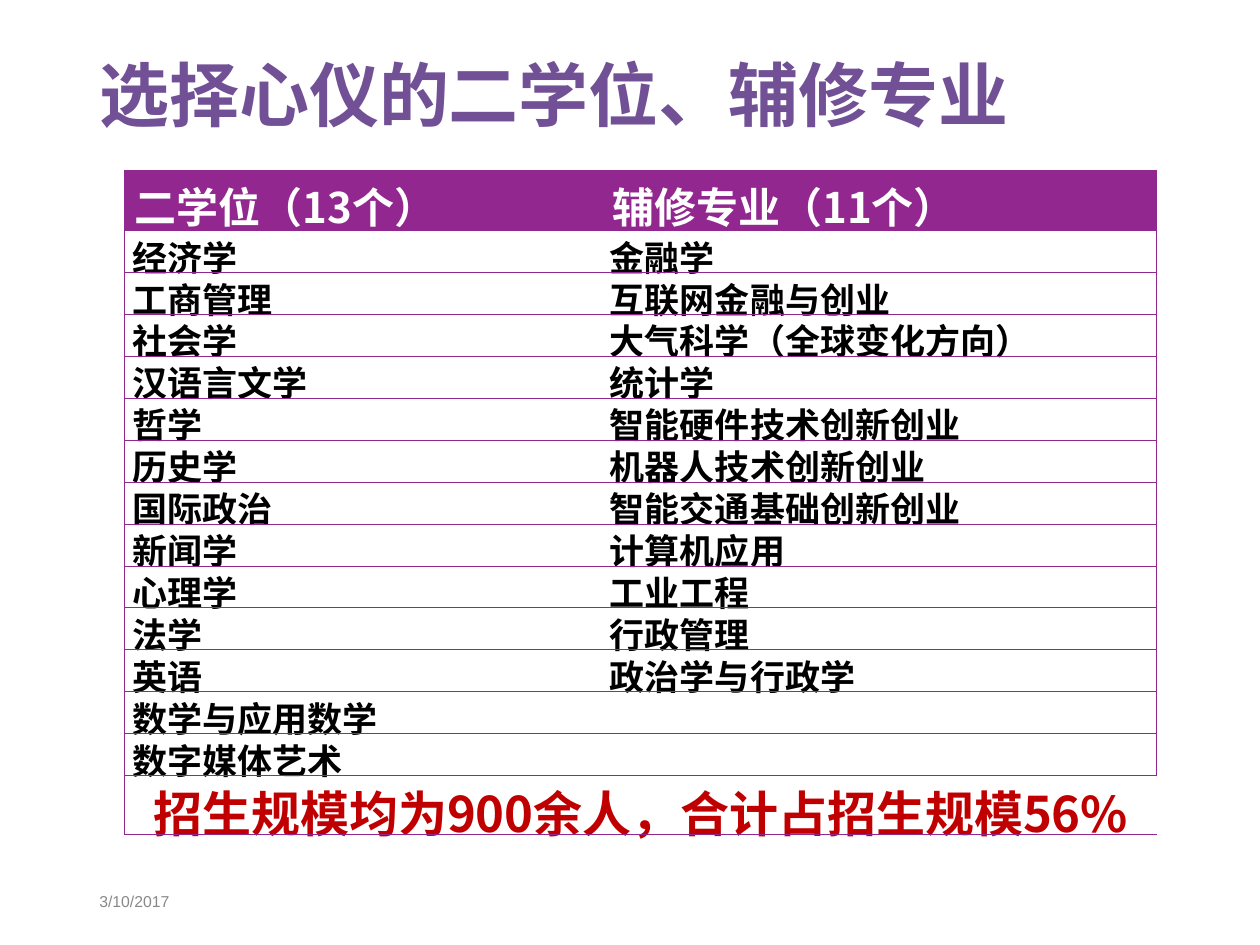
from dataclasses import dataclass
from itertools import zip_longest

from lxml import etree
from pptx import Presentation
from pptx.dml.color import RGBColor
from pptx.enum import text
from pptx.oxml import ns
from pptx.util import Inches, Pt

PURPLE = RGBColor(0x92, 0x27, 0x8F)
TITLE_PURPLE = RGBColor(0x71, 0x50, 0x96)
RED = RGBColor(0xC0, 0x00, 0x00)
GRAY = RGBColor(0x89, 0x89, 0x89)
BLACK = RGBColor(0x00, 0x00, 0x00)
WHITE = RGBColor(0xFF, 0xFF, 0xFF)
CJK = "Noto Sans CJK SC"

DEGREES = ["经济学", "工商管理", "社会学", "汉语言文学", "哲学", "历史学", "国际政治",
           "新闻学", "心理学", "法学", "英语", "数学与应用数学", "数字媒体艺术"]
MINORS = ["金融学", "互联网金融与创业", "大气科学（全球变化方向）", "统计学",
          "智能硬件技术创新创业", "机器人技术创新创业", "智能交通基础创新创业",
          "计算机应用", "工业工程", "行政管理", "政治学与行政学"]


@dataclass
class RowStyle:
    size: int
    color: RGBColor
    height: float
    side: float = 0.06
    pad: float = 0


HEADER = RowStyle(24, WHITE, 0.48, side=0.08, pad=0.04)
BODY = RowStyle(20, BLACK, 0.333)
SUMMARY = RowStyle(28, RED, 0.47)


def write(p, words: str, size: int, color: RGBColor, name: str = CJK, bold: bool = True) -> None:
    r = p.add_run()
    r.text = words
    for key, value in {"size": Pt(size), "bold": bold, "name": name}.items():
        setattr(r.font, key, value)
    r.font.color.rgb = color
    etree.SubElement(r.font._element, ns.qn("a:ea"), typeface=name)


def add_text(s, box: tuple[float, ...], words: str, size: int, color: RGBColor,
             spacing: float = 1.0, **font) -> None:
    tf = s.shapes.add_textbox(*map(Inches, box)).text_frame
    tf.word_wrap = True
    tf.vertical_anchor = text.MSO_ANCHOR.MIDDLE
    tf.paragraphs[0].line_spacing = spacing
    write(tf.paragraphs[0], words, size, color, **font)


def set_borders(cell, sides: str) -> None:
    """Draw the listed sides (L, R, T, B) and clear the others."""
    tc_pr = cell._tc.get_or_add_tcPr()
    for i, side in enumerate("LRTB"):
        ln = etree.Element(ns.qn(f"a:ln{side}"), w=str(Pt(0.5)))
        if side in sides:
            fill = etree.SubElement(ln, ns.qn("a:solidFill"))
            etree.SubElement(fill, ns.qn("a:srgbClr"), val=str(PURPLE))
        else:
            etree.SubElement(ln, ns.qn("a:noFill"))
        tc_pr.insert(i, ln)


def fill_cell(cell, words: str, style: RowStyle, sides: str) -> None:
    """Set tight lines low in the cell, so that the row keeps its height."""
    margins = {
        "margin_left": style.side,
        "margin_right": style.side,
        "margin_top": style.pad,
        "margin_bottom": style.pad - style.size * 0.25 / 72,
    }
    for key, value in margins.items():
        setattr(cell, key, Inches(value))
    cell.vertical_anchor = text.MSO_ANCHOR.BOTTOM
    if style is HEADER:
        cell.fill.solid()
        cell.fill.fore_color.rgb = PURPLE
    else:
        cell.fill.background()
    set_borders(cell, sides)
    p = cell.text_frame.paragraphs[0]
    p.line_spacing = Pt(style.size)
    if words:
        write(p, words, style.size, style.color)


def add_majors_table(s) -> None:
    rows = [(HEADER, "二学位（13个）", "辅修专业（11个）")]
    rows += [(BODY, *pair) for pair in zip_longest(DEGREES, MINORS, fillvalue="")]
    rows.append((SUMMARY, "招生规模均为900余人，合计占招生规模56%", ""))

    table = s.shapes.add_table(len(rows), 2, Inches(0.99), Inches(1.35),
                               Inches(8.19), Inches(5.28)).table
    for column, width in zip(table.columns, (3.79, 4.4)):
        column.width = Inches(width)
    for i, (style, *words) in enumerate(rows):
        table.rows[i].height = Inches(style.height)
        for j, side in enumerate("LR"):
            fill_cell(table.cell(i, j), words[j], style, side + "TB")

    last = len(rows) - 1
    summary = table.cell(last, 0)
    summary.merge(table.cell(last, 1))
    summary.text_frame.paragraphs[0].alignment = text.PP_ALIGN.CENTER


def main() -> None:
    prs = Presentation()
    prs.slide_width, prs.slide_height = Inches(10), Inches(7.5)
    s = prs.slides.add_slide(prs.slide_layouts[6])
    add_text(s, (0.69, 6.95, 2.25, 0.4), "3/10/2017", 9, GRAY, name="Arial", bold=False)
    add_majors_table(s)
    add_text(s, (0.69, 0.4, 8.62, 0.77), "选择心仪的二学位、辅修专业", 40, TITLE_PURPLE, spacing=0.9)
    prs.save("out.pptx")


if __name__ == "__main__":
    main()
